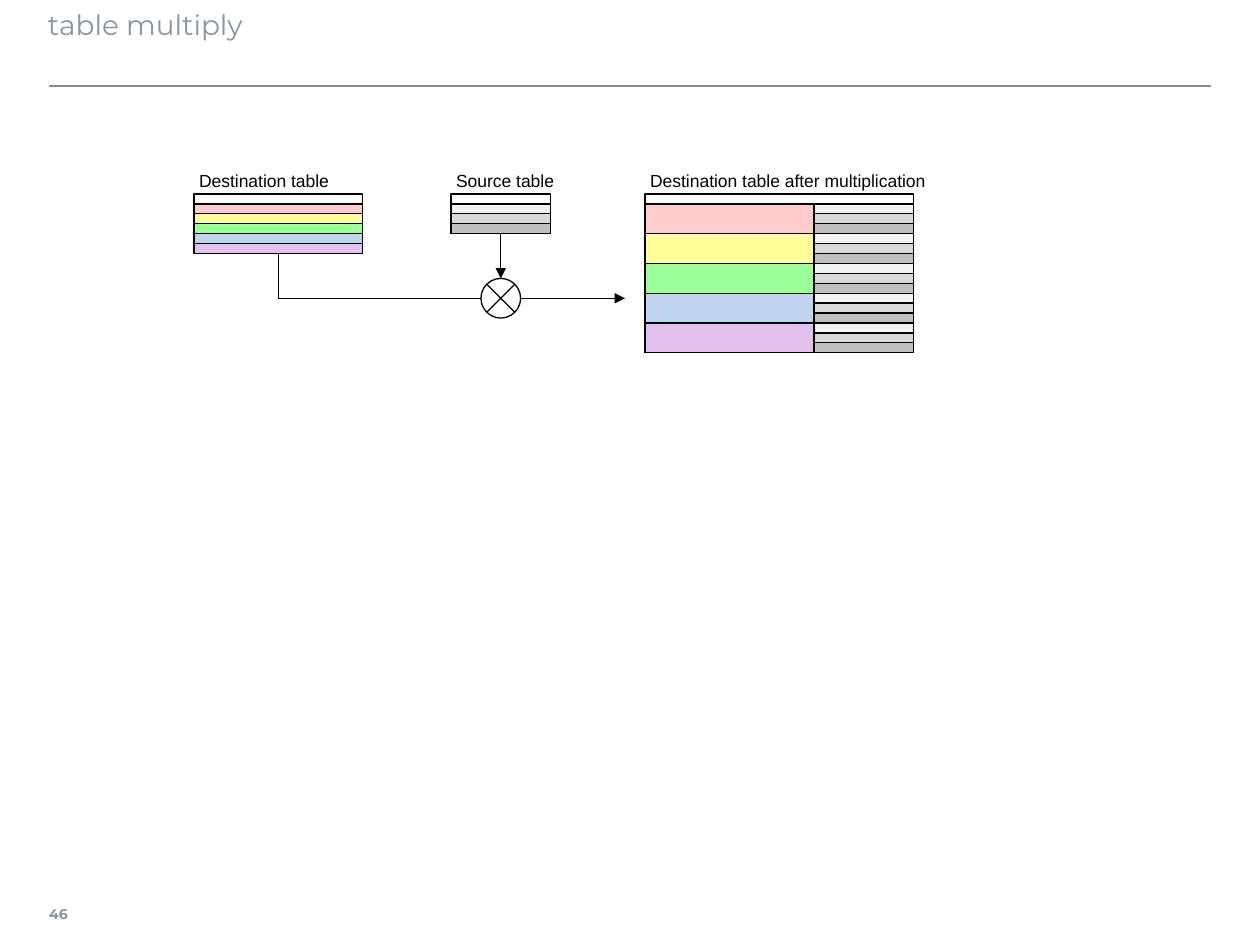
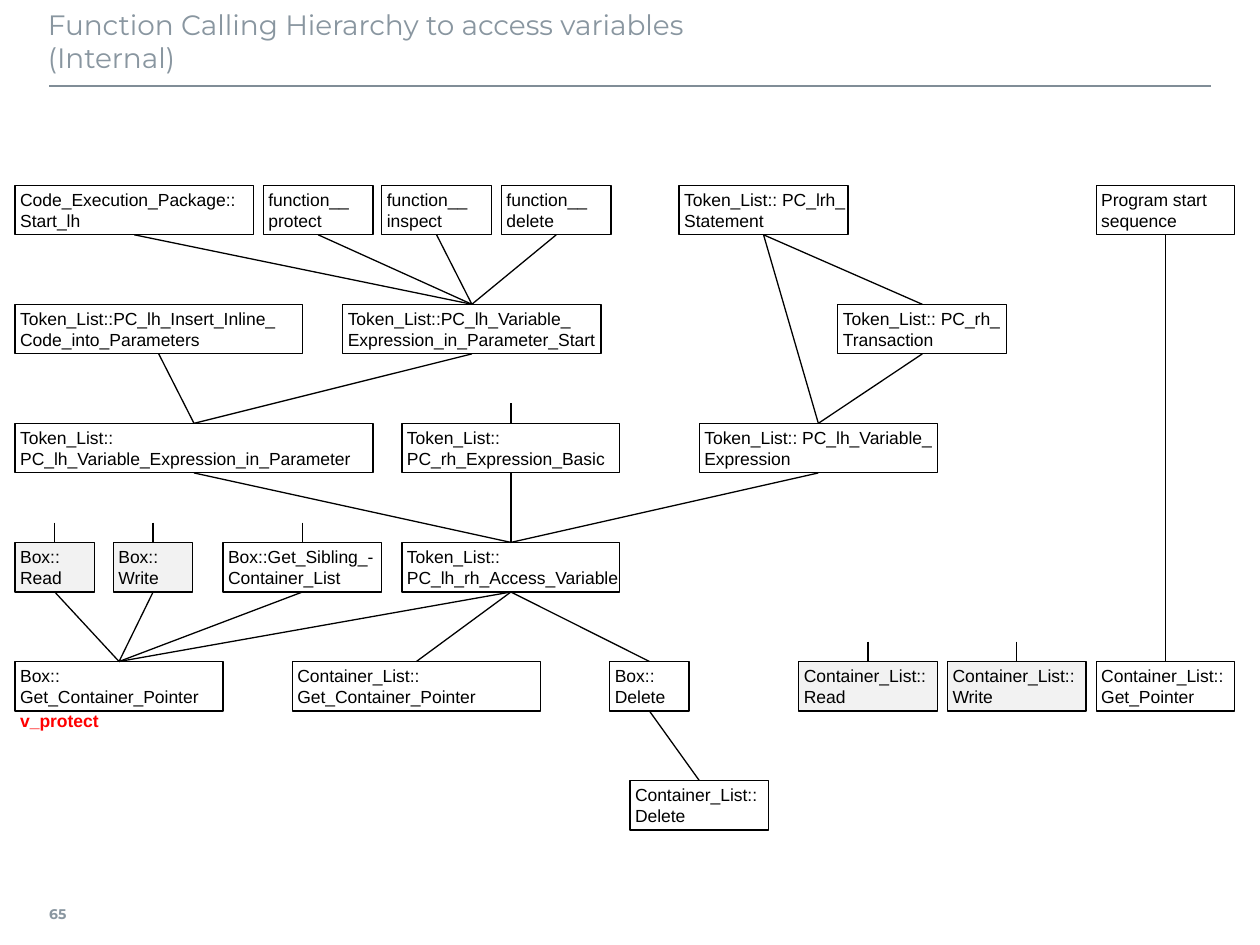
from dataclasses import dataclass
from typing import Optional

from lxml.etree import SubElement as Sub
from pptx import Presentation
from pptx.dml.color import RGBColor
from pptx.enum.shapes import MSO_CONNECTOR as Link, MSO_SHAPE as Form
from pptx.enum.text import MSO_ANCHOR as Anchor, PP_ALIGN as Align
from pptx.oxml.ns import qn
from pptx.shapes.autoshape import Shape
from pptx.shapes.connector import Connector
from pptx.slide import Slide
from pptx.util import Inches, Pt

BLACK = RGBColor(0x00, 0x00, 0x00)
RED = RGBColor(0xFF, 0x00, 0x00)
RULE = RGBColor(0x80, 0x8D, 0x97)
SLATE = RGBColor(0x89, 0x96, 0xA0)
PALE = RGBColor(0xF2, 0xF2, 0xF2)
GREYS = (PALE, RGBColor(0xD9, 0xD9, 0xD9), RGBColor(0xBF, 0xBF, 0xBF))
TINTS = (
    RGBColor(0xFF, 0xCC, 0xCC),
    RGBColor(0xFF, 0xFF, 0x99),
    RGBColor(0x99, 0xFF, 0x99),
    RGBColor(0xC1, 0xD4, 0xEE),
    RGBColor(0xE1, 0xC2, 0xEE),
)

ROW = 0.63 / 8
HEAD = 1.54
WIDE = 1.34
SLIM = 0.79
TOP = 1.47
PITCH = 12 * ROW
TALL = 5 * ROW
STUB = 2 * ROW


@dataclass
class Style:
    size: float = 10
    font: str = "Arial"
    color: RGBColor = BLACK
    bold: bool = False
    anchor: Anchor = Anchor.MIDDLE
    wrap: bool = False
    inset: tuple[float, float, float, float] = (0.04, 0.04, 0.04, 0.04)


@dataclass
class Node:
    key: str
    text: str
    left: float
    row: int
    width: float
    fill: Optional[RGBColor] = None
    stub: bool = False


BODY = Style()
ALERT = Style(color=RED, bold=True)
TITLE = Style(16, "Montserrat", SLATE, False, Anchor.TOP, True, (0, 0.05, 0.1, 0.05))
NUMBER = Style(8, "Montserrat", SLATE, True, inset=(0, 0.05, 0.08, 0.05))

NODES = (
    Node("start", "Code_Execution_Package::\nStart_lh", 0.12, 0, 1.89),
    Node("protect", "function__\nprotect", 2.09, 0, 0.87),
    Node("inspect", "function__\ninspect", 3.03, 0, 0.87),
    Node("delete", "function__\ndelete", 3.98, 0, 0.87),
    Node("state", "Token_List:: PC_lrh_\nStatement", 5.39, 0, 1.34),
    Node("program", "Program start\nsequence", 8.7, 0, 1.1),
    Node("inline", "Token_List::PC_lh_Insert_Inline_\nCode_into_Parameters", 0.12, 1, 2.28),
    Node("begin", "Token_List::PC_lh_Variable_\nExpression_in_Parameter_Start", 2.72, 1, 2.05),
    Node("trans", "Token_List:: PC_rh_\nTransaction", 6.65, 1, 1.34),
    Node("param", "Token_List::\nPC_lh_Variable_Expression_in_Parameter", 0.12, 2, 2.84),
    Node("basic", "Token_List::\nPC_rh_Expression_Basic", 3.19, 2, 1.73, stub=True),
    Node("express", "Token_List:: PC_lh_Variable_\nExpression", 5.55, 2, 1.89),
    Node("read", "Box::\nRead", 0.12, 3, 0.63, PALE, True),
    Node("write", "Box::\nWrite", 0.9, 3, 0.63, PALE, True),
    Node("sibling", "Box::Get_Sibling_-\nContainer_List", 1.77, 3, 1.26, stub=True),
    Node("access", "Token_List::\nPC_lh_rh_Access_Variable", 3.19, 3, 1.73),
    Node("pointer", "Box::\nGet_Container_Pointer", 0.12, 4, 1.65),
    Node("list", "Container_List::\nGet_Container_Pointer", 2.32, 4, 1.97),
    Node("box", "Box::\nDelete", 4.84, 4, 0.63),
    Node("lread", "Container_List::\nRead", 6.34, 4, 1.1, PALE, True),
    Node("lwrite", "Container_List::\nWrite", 7.52, 4, 1.1, PALE, True),
    Node("get", "Container_List::\nGet_Pointer", 8.7, 4, 1.1),
    Node("remove", "Container_List::\nDelete", 5, 5, 1.1),
)

CALLS = {
    "start": ("begin",),
    "protect": ("begin",),
    "inspect": ("begin",),
    "delete": ("begin",),
    "state": ("trans", "express"),
    "program": ("get",),
    "inline": ("param",),
    "begin": ("param",),
    "trans": ("express",),
    "param": ("access",),
    "basic": ("access",),
    "express": ("access",),
    "read": ("pointer",),
    "write": ("pointer",),
    "sibling": ("pointer",),
    "access": ("pointer", "list", "box"),
    "box": ("remove",),
}


def write(shape: Shape, text: str, style: Style) -> None:
    frame = shape.text_frame
    frame.word_wrap = style.wrap
    frame.vertical_anchor = style.anchor
    left, top, right, bottom = map(Inches, style.inset)
    frame.margin_left, frame.margin_top = left, top
    frame.margin_right, frame.margin_bottom = right, bottom
    para = frame.paragraphs[0]
    para.text = text
    para.alignment = Align.LEFT
    para.font.size = Pt(style.size)
    para.font.name = style.font
    para.font.bold = style.bold
    para.font.color.rgb = style.color


def label(slide: Slide, text: str, left: float, top: float,
          width: float, height: float, style: Style = BODY) -> None:
    box = slide.shapes.add_textbox(Inches(left), Inches(top), Inches(width), Inches(height))
    write(box, text, style)


def block(slide: Slide, left: float, top: float, width: float, height: float,
          fill: Optional[RGBColor] = None, form: Form = Form.RECTANGLE) -> Shape:
    shape = slide.shapes.add_shape(
        form, Inches(left), Inches(top), Inches(width), Inches(height))
    shape.shadow.inherit = False
    if fill is None:
        shape.fill.background()
    else:
        shape.fill.solid()
        shape.fill.fore_color.rgb = fill
    shape.line.color.rgb = BLACK
    shape.line.width = Pt(0.75)
    return shape


def line(slide: Slide, x1: float, y1: float, x2: float, y2: float,
         arrow: bool = False, color: RGBColor = BLACK, weight: float = 0.75) -> Connector:
    link = slide.shapes.add_connector(
        Link.STRAIGHT, Inches(x1), Inches(y1), Inches(x2), Inches(y2))
    link.line.color.rgb = color
    link.line.width = Pt(weight)
    props = link._element.spPr
    if arrow:
        Sub(props.find(qn("a:ln")), qn("a:tailEnd"), type="triangle")
    Sub(props, qn("a:effectLst"))
    return link


def page(deck: Presentation, title: str, number: int) -> Slide:
    slide = deck.slides.add_slide(deck.slide_layouts[6])
    line(slide, 0.39, 0.68, 9.61, 0.68, color=RULE, weight=1)
    label(slide, str(number), 0.39, 7.06, 0.35, 0.39, NUMBER)
    label(slide, title, 0.38, 0.01, 9.21, 0.63, TITLE)
    return slide


def stack(slide: Slide, left: float, top: float, width: float,
          height: float, fills: tuple[RGBColor, ...]) -> None:
    for i, fill in enumerate(fills):
        block(slide, left, top + i * height, width, height, fill)


def table(slide: Slide, text: str, left: float, width: float, rows: int) -> Shape:
    label(slide, text, left, 1.35, width + 0.4, 0.16)
    return block(slide, left, HEAD, width, rows * ROW)


def multiply(deck: Presentation) -> None:
    slide = page(deck, "table multiply", 46)
    body = HEAD + ROW
    group = len(GREYS) * ROW
    dest, src, out = 1.54, 3.58, 5.12

    stack(slide, dest, body, WIDE, ROW, TINTS)
    stack(slide, src, body, SLIM, ROW, GREYS)
    stack(slide, out, body, WIDE, group, TINTS)
    for i in range(len(TINTS)):
        stack(slide, out + WIDE, body + i * group, SLIM, ROW, GREYS)

    first = table(slide, "Destination table", dest, WIDE, 1 + len(TINTS))
    second = table(slide, "Source table", src, SLIM, 1 + len(GREYS))
    table(slide, "Destination table after multiplication", out, WIDE + SLIM,
          1 + len(TINTS) * len(GREYS))

    size = 4 * ROW
    mid = src + SLIM / 2
    left, right = mid - size / 2, mid + size / 2
    top = 2.21
    axis = top + size / 2
    turn = dest + WIDE / 2
    block(slide, left, top, size, size, form=Form.FLOWCHART_SUMMING_JUNCTION)
    line(slide, mid, HEAD + size, mid, top, arrow=True).begin_connect(second, 2)
    line(slide, turn, HEAD + 6 * ROW, turn, axis).begin_connect(first, 2)
    line(slide, turn, axis, left, axis)
    line(slide, right, axis, 4.96, axis, arrow=True)


def calls(deck: Presentation) -> None:
    slide = page(deck, "Function Calling Hierarchy to access variables\n(Internal)", 65)
    boxes = {}
    for node in NODES:
        top = TOP + node.row * PITCH
        box = block(slide, node.left, top, node.width, TALL, node.fill)
        write(box, node.text, BODY)
        boxes[node.key] = box
        if node.stub:
            mid = node.left + node.width / 2
            line(slide, mid, top - STUB, mid, top).end_connect(box, 0)
    for caller, goals in CALLS.items():
        for goal in goals:
            link = line(slide, 0, 0, 1, 1)
            link.begin_connect(boxes[caller], 2)
            link.end_connect(boxes[goal], 0)
    label(slide, "v_protect", 0.12, 5.64, 0.87, 0.16, ALERT)


def main() -> None:
    deck = Presentation()
    deck.slide_width, deck.slide_height = Inches(10), Inches(7.5)
    multiply(deck)
    calls(deck)
    deck.save("out.pptx")


if __name__ == "__main__":
    main()
